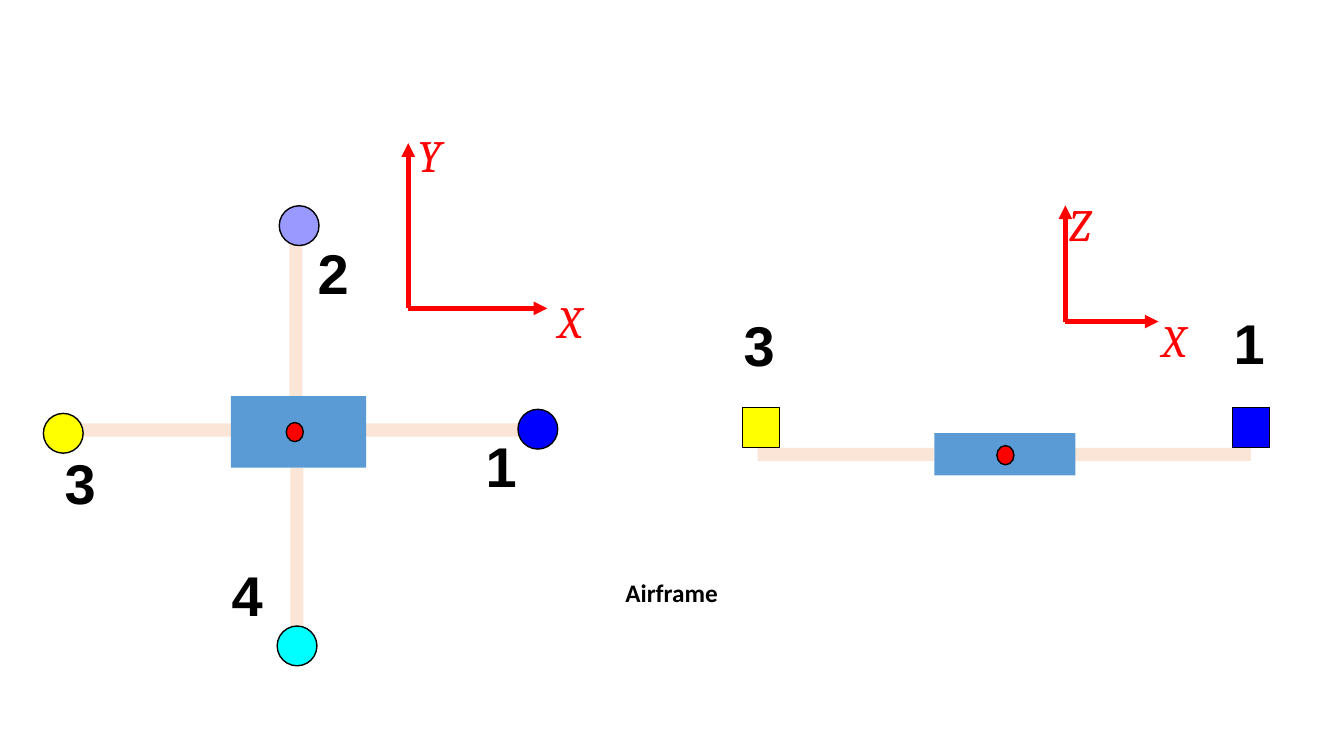
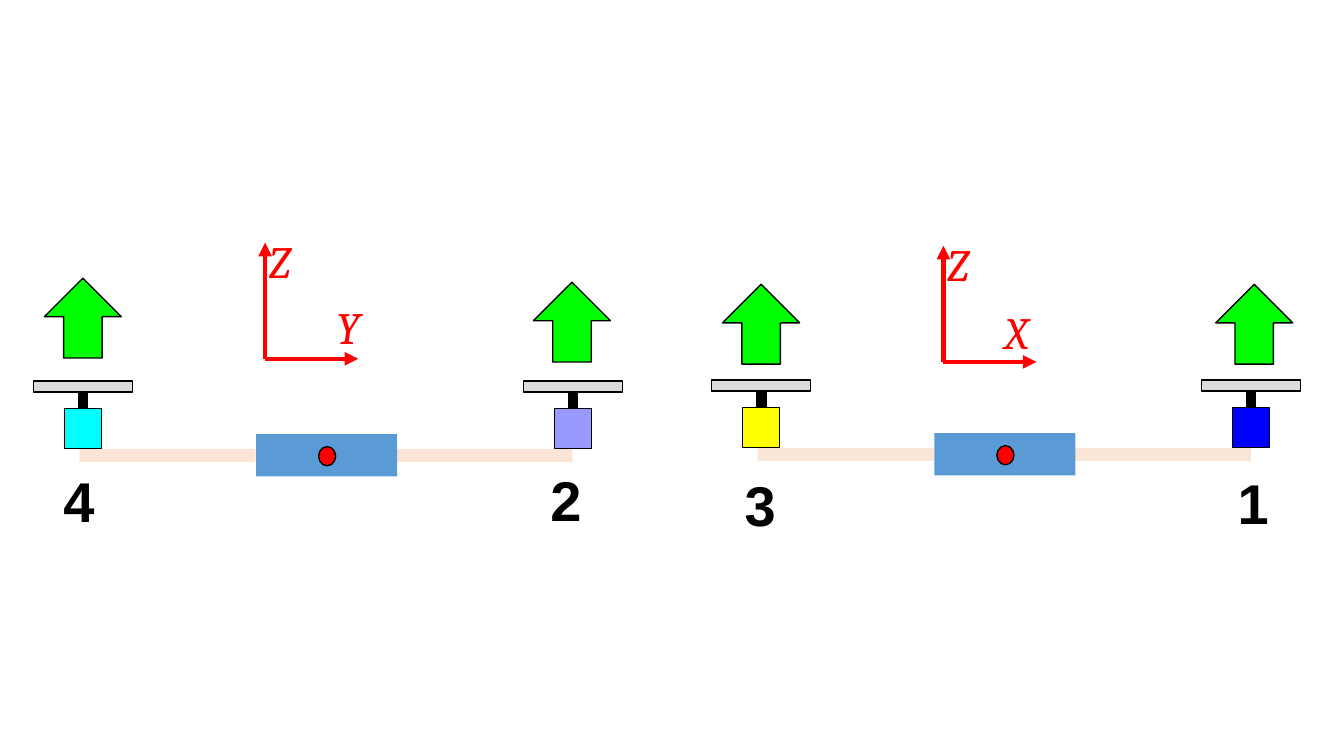
from collections import namedtuple

from lxml import etree
from pptx import Presentation
from pptx.dml.color import RGBColor
from pptx.enum.shapes import MSO_CONNECTOR as Connector, MSO_SHAPE as Shape
from pptx.enum.text import PP_ALIGN as Align
from pptx.oxml.ns import qn
from pptx.util import Pt

COLORS = {
    "body": "5B9BD5", "arm": "FBE5D6", "center": "FF0000", "axis": "FF0000",
    "plate": "DBDBDB", "thrust": "00FF00", "ink": "000000",
}
MOTOR_COLORS = {1: "0000FF", 2: "9999FF", 3: "FFFF00", 4: "00FFFF"}

# Label and thrust offsets are measured from the motor's top left corner
Motor = namedtuple("Motor", "number label thrust", defaults=[None])
AxisLabel = namedtuple("AxisLabel", "text dx dy")

LABEL_STYLE = {"size": 40, "font": "Arial", "color": COLORS["ink"], "bold": True}
AXIS_STYLE = {"size": 32, "font": "Cambria", "color": COLORS["axis"], "italic": True}
CAPTION_STYLE = {"size": 18, "font": "Calibri", "color": COLORS["ink"],
                 "bold": True, "align": Align.CENTER}


def rgb(color):
    return RGBColor.from_string(color)


def add_part(slide, kind, left, top, width, height, fill, outlined=False):
    shape = slide.shapes.add_shape(kind, Pt(left), Pt(top), Pt(width), Pt(height))
    shape.shadow.inherit = False
    shape.fill.solid()
    shape.fill.fore_color.rgb = rgb(fill)
    if outlined:
        shape.line.color.rgb = rgb(COLORS["ink"])
        shape.line.width = Pt(1)
    else:
        shape.line.fill.background()


def add_line(slide, x1, y1, x2, y2, color, width, arrow=False):
    line = slide.shapes.add_connector(Connector.STRAIGHT, Pt(x1), Pt(y1), Pt(x2), Pt(y2))
    line.line.color.rgb = rgb(color)
    line.line.width = Pt(width)
    if arrow:
        etree.SubElement(line.line._get_or_add_ln(), qn("a:tailEnd"), type="triangle")
    etree.SubElement(line._element.spPr, qn("a:effectLst"))


def add_text(slide, text, left, top, width, height, size, font, color,
             bold=False, italic=False, align=Align.LEFT):
    box = slide.shapes.add_textbox(Pt(left), Pt(top), Pt(width), Pt(height))
    box.text_frame.word_wrap = True
    paragraph = box.text_frame.paragraphs[0]
    paragraph.alignment = align
    run = paragraph.add_run()
    run.text = text
    run.font.name = font
    run.font.size = Pt(size)
    run.font.bold = bold
    run.font.italic = italic
    run.font.color.rgb = rgb(color)


def add_motor_label(slide, motor, x, y):
    dx, dy = motor.label
    add_text(slide, str(motor.number), x + dx, y + dy, 37, 55, **LABEL_STYLE)


def add_center(slide, x, y):
    add_part(slide, Shape.OVAL, x, y, 12.2, 13.7, COLORS["center"], outlined=True)


def add_axes(slide, x, y, across, up, horizontal, vertical):
    """Draw two arrows from an origin, each with its letter."""
    for dx, dy in ((across, 0), (0, -up)):
        add_line(slide, x, y, x + dx, y + dy, COLORS["axis"], 3.25, arrow=True)
    for label in (horizontal, vertical):
        add_text(slide, label.text, x + label.dx, y + label.dy, 40, 46, **AXIS_STYLE)


def add_top_view(slide, left, top):
    # Arms and body
    for x, y, width, height in ((230.4, 155.5, 126, 9.4), (8, 155.5, 126, 9.4),
                                (175.7, 10.8, 9.4, 126), (176.4, 187.2, 9.4, 126)):
        add_part(slide, Shape.RECTANGLE, left + x, top + y, width, height, COLORS["arm"])
    add_part(slide, Shape.RECTANGLE, left + 134, top + 136, 96.5, 51, COLORS["body"])
    add_center(slide, left + 173.5, top + 154.8)
    # Motors
    for x, y, motor in ((339, 145.4, Motor(1, (-30.2, 12.2))),
                        (168.5, 0, Motor(2, (20.2, 20.2))),
                        (0, 148.3, Motor(3, (8, 21.6))),
                        (167, 300.2, Motor(4, (-39.6, -50.4)))):
        add_part(slide, Shape.OVAL, left + x, top + y, 28.4, 28.4,
                 MOTOR_COLORS[motor.number], outlined=True)
        add_motor_label(slide, motor, left + x, top + y)


def add_rotor(slide, motor, x, y):
    """Draw shaft, propeller plate and thrust arrow above a motor."""
    add_line(slide, x + 13.3, y - 14.5, x + 13.3, y, COLORS["ink"], 7.25)
    add_part(slide, Shape.RECTANGLE, x - 22.3, y - 19.5, 70.8, 8, COLORS["plate"], outlined=True)
    dx, dy = motor.thrust
    add_part(slide, Shape.UP_ARROW, x + dx, y + dy, 55, 57, COLORS["thrust"], outlined=True)


def add_side_view(slide, left, top, motors):
    # Arms and body
    for x in (10.5, 237):
        add_part(slide, Shape.RECTANGLE, left + x, top + 29, 126, 9.4, COLORS["arm"])
    add_part(slide, Shape.RECTANGLE, left + 136.8, top + 18.5, 100.8, 30.2, COLORS["body"])
    add_center(slide, left + 181.5, top + 27.4)
    # Motors
    for index, motor in enumerate(motors):
        x = left + 350 * index
        add_part(slide, Shape.RECTANGLE, x, top, 26.3, 28.8,
                 MOTOR_COLORS[motor.number], outlined=True)
        if motor.thrust:
            add_rotor(slide, motor, x, top)
        add_motor_label(slide, motor, x, top)


def build_airframe_slide(slide):
    add_top_view(slide, 31, 147)
    add_side_view(slide, 530.6, 290.9, [Motor(3, (-6.5, -72.7)), Motor(1, (-6.5, -74.2))])
    add_axes(slide, 291.6, 220.3, 99.4, 118,
             AxisLabel("X", 100, -14.4), AxisLabel("Y", 0, -132.5))
    add_axes(slide, 761, 229.7, 66.5, 83,
             AxisLabel("X", 62, -10), AxisLabel("Z", -4.5, -93))
    add_text(slide, "Airframe", 434.2, 409, 91, 29, **CAPTION_STYLE)


def build_thrust_slide(slide):
    add_side_view(slide, 46.1, 291.6, [Motor(4, (-7.9, 38.2), (-14.4, -92.9)),
                                       Motor(2, (-10, 37.4), (-15, -90))])
    add_side_view(slide, 530.6, 290.9, [Motor(3, (-5.8, 41.8), (-14.4, -87.8)),
                                        Motor(1, (-3.6, 40.3), (-12.2, -87.8))])
    add_axes(slide, 189.4, 256.3, 66.5, 83,
             AxisLabel("Y", 43.9, -46), AxisLabel("Z", -4.5, -93))
    add_axes(slide, 673.9, 258.5, 66.5, 83,
             AxisLabel("X", 36.7, -44.6), AxisLabel("Z", -4.5, -93))


def main():
    presentation = Presentation()
    presentation.slide_width = Pt(960)
    presentation.slide_height = Pt(540)
    blank = presentation.slide_layouts[6]
    for build in (build_airframe_slide, build_thrust_slide):
        build(presentation.slides.add_slide(blank))
    presentation.save("out.pptx")


if __name__ == "__main__":
    main()
